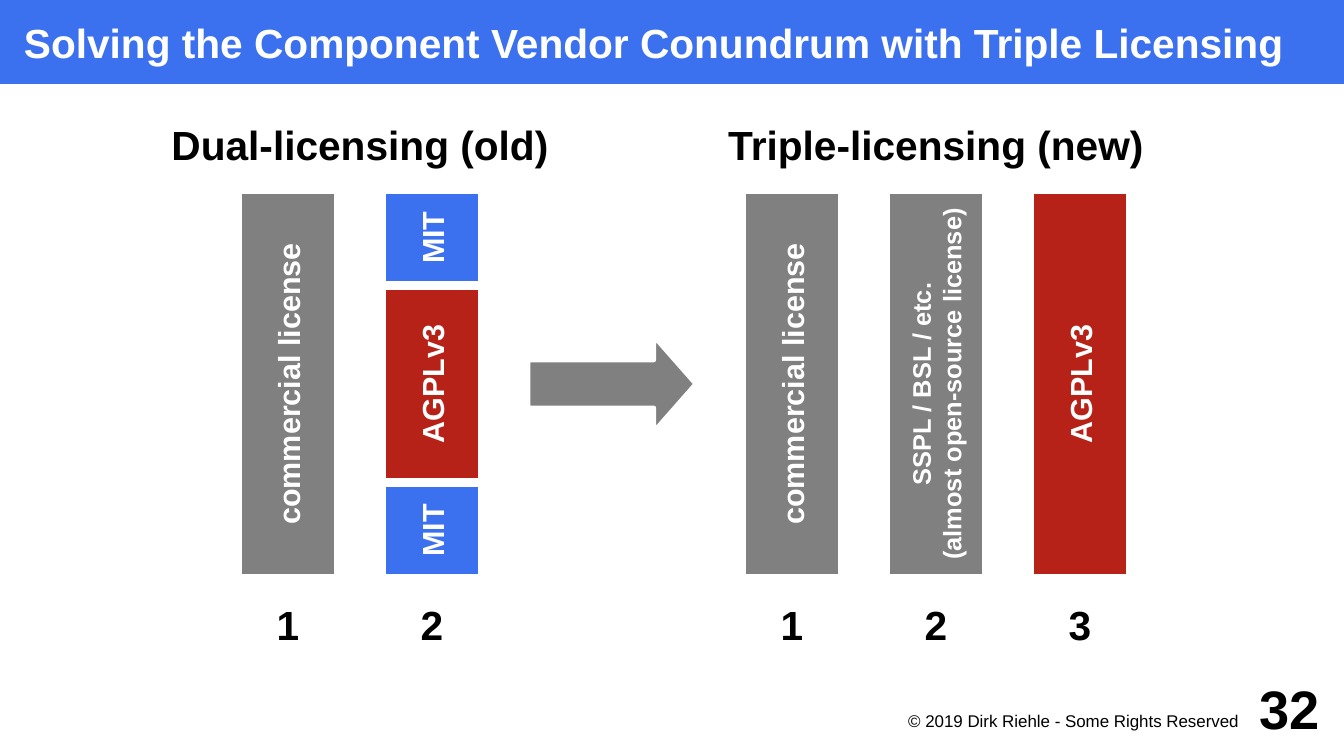
import pptx
import pptx.util
import pptx.dml.color
import pptx.enum.shapes
import pptx.enum.text

Cm = pptx.util.Cm
SHAPE = pptx.enum.shapes.MSO_SHAPE
ALIGN = pptx.enum.text.PP_ALIGN
ANCHOR = pptx.enum.text.MSO_ANCHOR

BLUE, RED, GRAY = "3B70EE", "B62118", "808080"
WHITE, BLACK = "FFFFFF", "000000"
SIDE, TOP, TALL = 2, 4, 8
MID = TOP + TALL / 2


def paint(target, color):
    if hasattr(target, "solid"):
        target.solid()
        target = target.fore_color
    target.rgb = pptx.dml.color.RGBColor.from_string(color)


def write(shape, text, size=24, color=BLACK, bold=True, align=ALIGN.CENTER,
          anchor=ANCHOR.MIDDLE, pads=(0.2, 0.2, 0.2, 0.2), wrap=False):
    frame = shape.text_frame
    frame.word_wrap = wrap
    frame.vertical_anchor = anchor
    frame.margin_left, frame.margin_top, frame.margin_right, frame.margin_bottom = map(Cm, pads)
    frame.text = text
    for para in frame.paragraphs:
        para.alignment = align
        font = para.font
        font.name, font.size, font.bold = "Arial", pptx.util.Pt(size), bold
        paint(font.color, color)


def block(slide, kind, box, fill, edge=True):
    shape = slide.shapes.add_shape(kind, *map(Cm, box))
    shape.shadow.inherit = False
    paint(shape.fill, fill)
    if edge:
        paint(shape.line.color, WHITE)
        shape.line.width = Cm(0.1)
    else:
        shape.line.fill.background()
    return shape


def label(slide, box, text, **style):
    write(slide.shapes.add_textbox(*map(Cm, box)), text, **style)


def bar(slide, left, text, fill, mid=MID, span=TALL, size=18):
    box = (left + (SIDE - span) / 2, mid - SIDE / 2, span, SIDE)
    shape = block(slide, SHAPE.RECTANGLE, box, fill)
    shape.rotation = 270
    write(shape, text, size=size, color=WHITE)


def title(slide, text):
    shape = block(slide, SHAPE.RECTANGLE, (0, 0, 28, 1.75), BLUE, edge=False)
    write(shape, text, color=WHITE, align=ALIGN.LEFT, pads=(0.5, 0, 0, 0), wrap=True)


def model(slide, head, box, lefts):
    label(slide, box, head)
    for rank, left in enumerate(lefts, 1):
        label(slide, (left, TOP + TALL, SIDE, SIDE), str(rank))


def footer(slide):
    label(slide, (18, 14.75, 8, 0.75), "© 2019 Dirk Riehle - Some Rights Reserved",
          size=10, bold=False, align=ALIGN.RIGHT, anchor=ANCHOR.TOP,
          pads=(0, 0.05, 0.2, 0), wrap=True)
    label(slide, (25.5, 14, 2, 1.5), "32", size=32, align=ALIGN.RIGHT,
          pads=(0, 0, 0, 0), wrap=True)


def main():
    deck = pptx.Presentation()
    deck.slide_width, deck.slide_height = Cm(28), Cm(15.75)
    slide = deck.slides.add_slide(deck.slide_layouts[6])
    title(slide, "Solving the Component Vendor Conundrum with Triple Licensing")

    old = [5, 8]
    new = [15.5, 18.5, 21.5]
    model(slide, "Dual-licensing (old)", (3, 2, 9, 2), old)
    model(slide, "Triple-licensing (new)", (14, 2, 11, 2), new)

    for left in (old[0], new[0]):
        bar(slide, left, "commercial license", GRAY)
    bar(slide, old[1], "AGPLv3", RED, span=4)
    for mid in (MID - 3.05, MID + 3.05):
        bar(slide, old[1], "MIT", BLUE, mid=mid, span=1.9)
    bar(slide, new[1], "SSPL / BSL / etc.\n(almost open-source license)", GRAY, size=15)
    bar(slide, new[2], "AGPLv3", RED)

    arrow = block(slide, SHAPE.RIGHT_ARROW, (11, MID - SIDE / 2, 3.5, SIDE), GRAY)
    arrow.adjustments[0] = 0.5
    arrow.adjustments[1] = 0.44
    footer(slide)
    deck.save("out.pptx")


if __name__ == "__main__":
    main()
